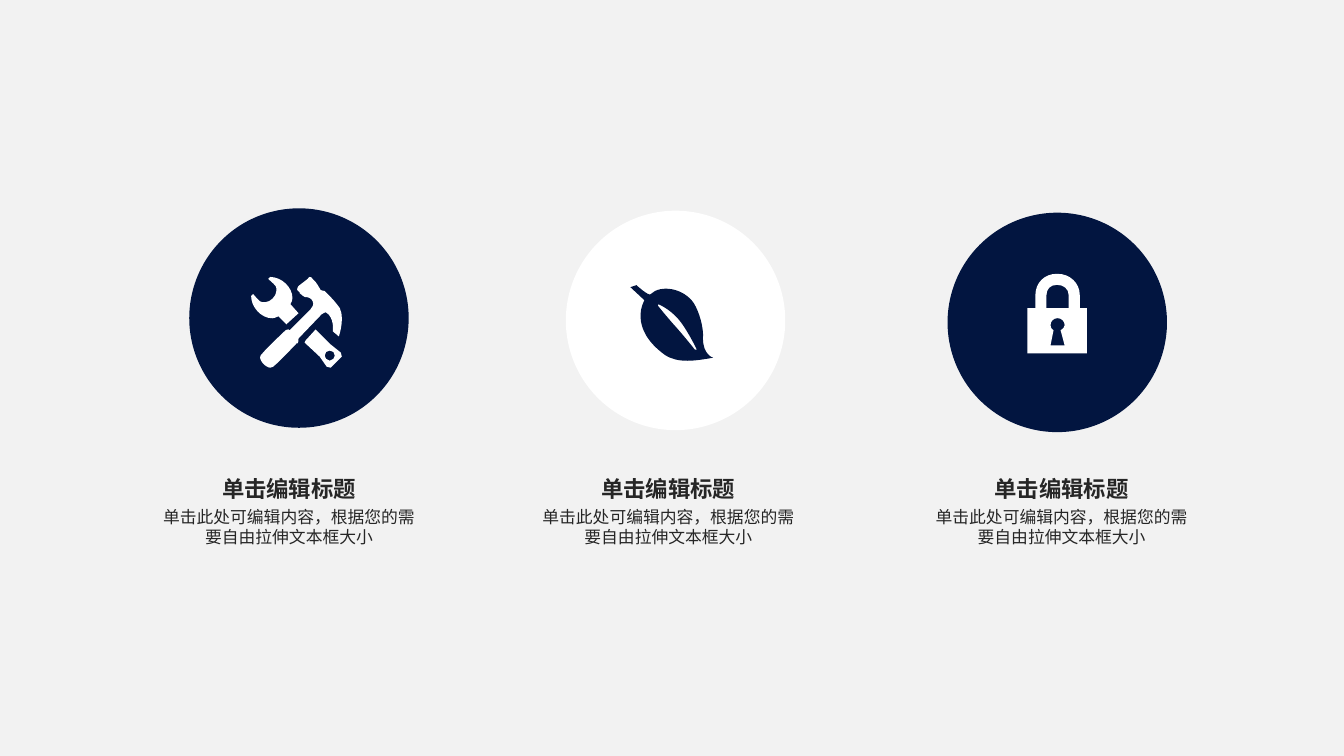
"""Build a slide with three round icons, each above a heading and a description."""
from pptx import Presentation
from pptx.dml.color import RGBColor
from pptx.enum.shapes import MSO_SHAPE
from pptx.enum.text import MSO_AUTO_SIZE, PP_ALIGN
from pptx.oxml.ns import qn
from pptx.oxml.xmlchemy import OxmlElement
from pptx.util import Cm, Pt

COLORS = {"background": "F2F2F2", "navy": "021540", "white": "FFFFFF", "text": "262626"}
FONT = "Arial"
HEADING = "单击编辑标题"
DESCRIPTION = "单击此处可编辑内容，根据您的需要自由拉伸文本框大小"
DIAMETER = 5.53
CAPTION_WIDTH = 6.49
GRID = Cm(2.54) // 100

HANDLE = [
    [(53, 65), (68, 79), (75, 89), (79, 90), (90, 79), (89, 75), (79, 67), (64, 52), (54, 63)],
    [(78, 73), (81, 73, 83, 75, 83, 78), (83, 80, 81, 83, 78, 83),
     (75, 83, 73, 80, 73, 78), (73, 75, 75, 73, 78, 73)],
]
WRENCH = [
    [(47, 36), (39, 27), (40, 25, 41, 23, 41, 21), (41, 10, 30, 0, 19, 0),
     (19, 0, 18, 1, 17, 2), (26, 10, 25, 9, 25, 14), (25, 19, 19, 25, 14, 25),
     (9, 25, 10, 26, 2, 17), (1, 18, 0, 19, 0, 19), (0, 30, 10, 41, 21, 41),
     (23, 41, 25, 40, 27, 39), (35, 47), (36, 46)],
]
HAMMER = [
    [(81, 54), (87, 59), (87, 59, 95, 36, 85, 27), (82, 23, 77, 18, 73, 14),
     (72, 13, 69, 14, 69, 13), (66, 8), (65, 6, 63, 4, 62, 3), (61, 2),
     (60, 0, 59, 0, 58, 0), (58, 0, 57, 0, 56, 2), (47, 9), (45, 12, 45, 13, 48, 15),
     (48, 16), (50, 18, 53, 20, 54, 20), (55, 20), (56, 20, 60, 21, 61, 24),
     (63, 28, 60, 30, 59, 32), (38, 53), (38, 52, 37, 52, 37, 52),
     (35, 52, 34, 53, 33, 54), (33, 54, 15, 71, 11, 76), (10, 76, 10, 76, 10, 77),
     (6, 81, 14, 90, 19, 90), (21, 90, 21, 90, 22, 89), (23, 89, 23, 89, 23, 88),
     (28, 84, 45, 66, 45, 66), (46, 66), (47, 65, 47, 63, 47, 61), (70, 37),
     (72, 36, 73, 35, 74, 35), (83, 40, 81, 54, 81, 54)],
]
LEAF = [
    [(75, 54), (76, 43, 71, 27, 66, 19), (56, 4, 33, 0, 23, 10), (21, 12, 9, 1, 9, 1),
     (3, 3), (17, 16), (17, 16, 0, 43, 37, 70), (50, 79, 68, 76, 85, 73),
     (85, 73, 75, 70, 75, 54)],
    [(68, 65), (67, 65), (67, 65, 56, 51, 45, 39), (33, 25, 30, 21, 30, 21),
     (30, 20, 30, 20, 31, 20), (31, 20, 41, 24, 50, 34), (59, 44, 69, 65, 69, 65)],
]
LOCK = [
    [(52, 34), (52, 21), (52, 9, 42, 0, 30, 0), (29, 0), (17, 0, 8, 9, 8, 21),
     (8, 34), (0, 34), (0, 79), (59, 79), (59, 34)],
    [(37, 71), (23, 71), (26, 56), (24, 55, 23, 53, 23, 51), (23, 47, 26, 44, 30, 44),
     (34, 44, 37, 47, 37, 51), (37, 53, 35, 55, 33, 56)],
    [(41, 34), (19, 34), (19, 21), (19, 15, 23, 11, 29, 11), (30, 11),
     (36, 11, 41, 15, 41, 21)],
]

COLUMNS = [
    {"circle": (4.77, 5.25), "circle_color": "navy", "icon": [HANDLE, WRENCH, HAMMER],
     "icon_at": (6.33, 6.98), "icon_color": "white", "caption_left": 4.04},
    {"circle": (14.26, 5.31), "circle_color": "white", "icon": [LEAF],
     "icon_at": (15.81, 7.16), "icon_color": "navy", "caption_left": 13.6},
    {"circle": (23.88, 5.36), "circle_color": "navy", "icon": [LOCK],
     "icon_at": (25.89, 6.9), "icon_color": "white", "caption_left": 23.51},
]


def rgb(name):
    """Return the named colour."""
    return RGBColor.from_string(COLORS[name])


def paint(shape, color):
    """Give a shape a flat fill without line or shadow."""
    shape.fill.solid()
    shape.fill.fore_color.rgb = rgb(color)
    shape.line.fill.background()
    shape.shadow.inherit = False


def trace(outline, corner):
    """Turn an outline into slide points, control points included."""
    left, top = corner
    return [(Cm(left) + segment[i] * GRID, Cm(top) + segment[i + 1] * GRID)
            for segment in outline for i in range(0, len(segment), 2)]


def bend(shape, part):
    """Join the three lines of each curved segment into one cubic curve."""
    lines = iter(list(shape._element.iter(qn("a:lnTo"))))
    for outline in part:
        for segment in outline[1:]:
            steps = [next(lines) for _ in range(len(segment) // 2)]
            if len(steps) == 3:
                curve = OxmlElement("a:cubicBezTo")
                steps[0].addprevious(curve)
                for step in steps:
                    curve.append(step[0])
                    step.getparent().remove(step)


def add_icon(slide, parts, corner, color):
    """Draw an icon, grouping its parts when there are several."""
    shapes = slide.shapes.add_group_shape().shapes if len(parts) > 1 else slide.shapes
    for part in parts:
        contour, *holes = [trace(outline, corner) for outline in part]
        builder = shapes.build_freeform(*contour[0])
        builder.add_line_segments(contour[1:], close=True)
        for hole in holes:
            builder.move_to(*hole[0])
            builder.add_line_segments(hole[1:], close=True)
        piece = builder.convert_to_shape()
        bend(piece, part)
        paint(piece, color)


def add_circle(slide, corner, color):
    """Draw the disc behind an icon."""
    left, top = corner
    disc = slide.shapes.add_shape(
        MSO_SHAPE.OVAL, Cm(left), Cm(top), Cm(DIAMETER), Cm(DIAMETER))
    paint(disc, color)


def add_caption(slide, wording, left, top, height, size, bold=False):
    """Add a centred caption without margins."""
    caption = slide.shapes.add_textbox(Cm(left), Cm(top), Cm(CAPTION_WIDTH), Cm(height))
    frame = caption.text_frame
    frame.word_wrap = True
    frame.auto_size = MSO_AUTO_SIZE.SHAPE_TO_FIT_TEXT
    frame.margin_left = frame.margin_right = frame.margin_top = frame.margin_bottom = 0
    frame.text = wording
    paragraph = frame.paragraphs[0]
    paragraph.alignment = PP_ALIGN.CENTER
    font = paragraph.runs[0].font
    font.name, font.size, font.bold = FONT, Pt(size), bold
    font.color.rgb = rgb("text")


def main():
    """Build and save the slide."""
    deck = Presentation()
    deck.slide_width, deck.slide_height = Cm(33.87), Cm(19.05)
    slide = deck.slides.add_slide(deck.slide_layouts[6])
    slide.background.fill.solid()
    slide.background.fill.fore_color.rgb = rgb("background")
    for column in COLUMNS:
        add_circle(slide, column["circle"], column["circle_color"])
        add_icon(slide, column["icon"], column["icon_at"], column["icon_color"])
        add_caption(slide, HEADING, column["caption_left"], 11.98, 0.69, 16, bold=True)
        add_caption(slide, DESCRIPTION, column["caption_left"], 12.77, 1.02, 12)
    deck.save("out.pptx")


main()
